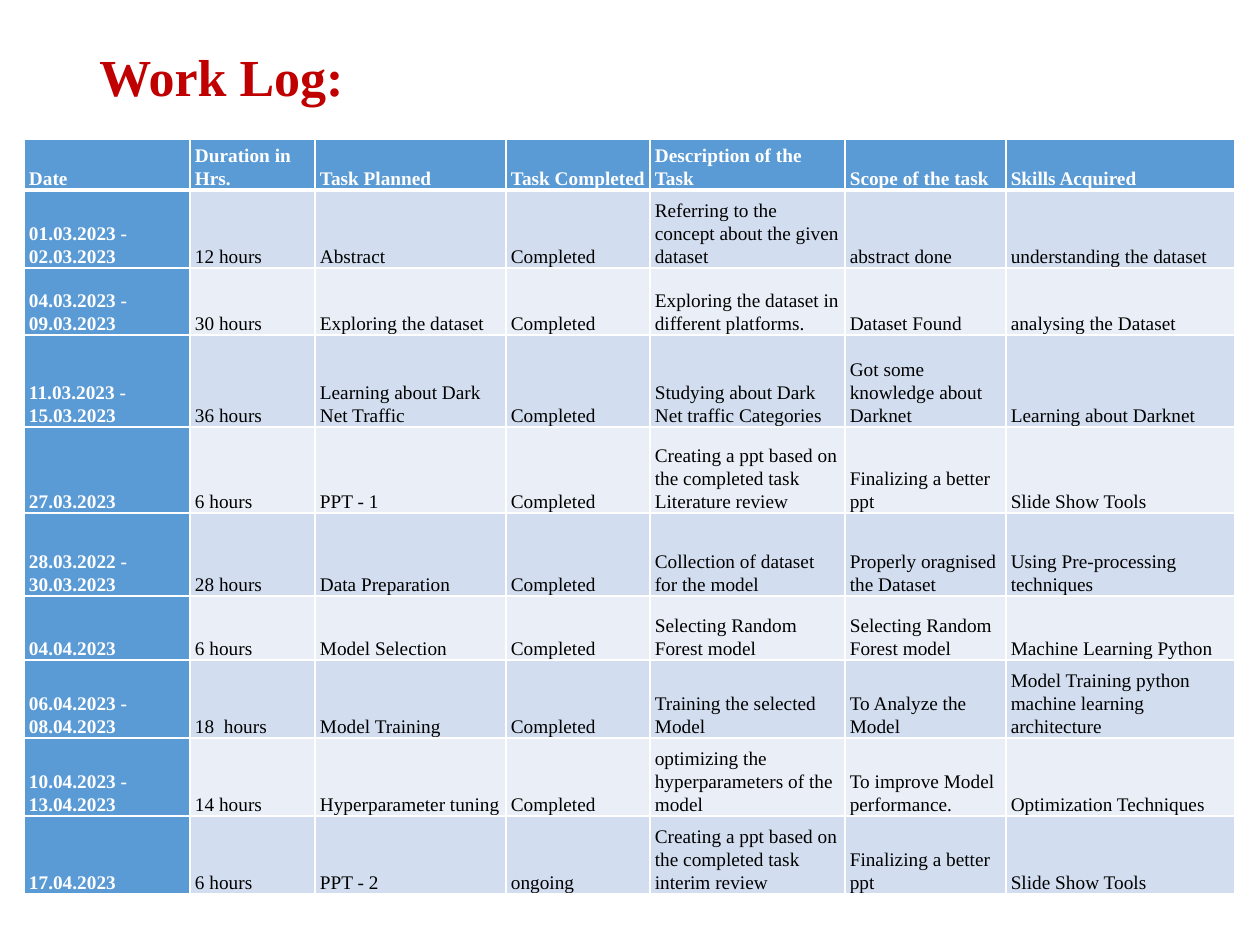
from lxml.etree import SubElement
from pptx import Presentation
from pptx.dml.color import RGBColor
from pptx.enum.text import MSO_ANCHOR
from pptx.oxml import parse_xml
from pptx.oxml.ns import nsdecls, qn
from pptx.util import Pt

PX = 914400 // 126  # EMU per px
FONT = "Times New Roman"
RED = RGBColor(0xC0, 0x00, 0x00)
BLUE = RGBColor(0x5B, 0x9B, 0xD5)
BAND_DARK = RGBColor(0xD2, 0xDE, 0xEF)
BAND_LIGHT = RGBColor(0xEA, 0xEF, 0xF7)
WHITE = RGBColor(0xFF, 0xFF, 0xFF)
BLACK = RGBColor(0x00, 0x00, 0x00)

COL_WIDTHS = [166, 125, 191, 144, 195, 161, 229]
ROW_HEIGHTS = [51, 78, 67, 92, 86, 83, 64, 78, 78, 78]
WORK_LOG = [
    ["Date", "Duration in Hrs.", "Task Planned", "Task Completed",
     "Description of the Task", "Scope of the task", "Skills Acquired"],
    ["01.03.2023 - 02.03.2023", "12 hours", "Abstract", "Completed",
     "Referring to the concept about the given dataset", "abstract done",
     "understanding the dataset"],
    ["04.03.2023 - 09.03.2023", "30 hours", "Exploring the dataset", "Completed",
     "Exploring the dataset in different platforms.", "Dataset Found",
     "analysing the Dataset"],
    ["11.03.2023 - 15.03.2023", "36 hours", "Learning about Dark Net Traffic", "Completed",
     "Studying about Dark Net traffic Categories", "Got some knowledge about Darknet",
     "Learning about Darknet"],
    ["27.03.2023", "6 hours", "PPT - 1", "Completed",
     "Creating a ppt based on the completed task Literature review",
     "Finalizing a better ppt", "Slide Show Tools"],
    ["28.03.2022 - 30.03.2023", "28 hours", "Data Preparation", "Completed",
     "Collection of dataset for the model", "Properly oragnised the Dataset",
     "Using Pre-processing techniques"],
    ["04.04.2023", "6 hours", "Model Selection", "Completed",
     "Selecting Random Forest model", "Selecting Random Forest model",
     "Machine Learning Python"],
    ["06.04.2023 - 08.04.2023", "18  hours", "Model Training", "Completed",
     "Training the selected Model", "To Analyze the Model",
     "Model Training python machine learning architecture"],
    ["10.04.2023 - 13.04.2023", "14 hours", "Hyperparameter tuning", "Completed",
     "optimizing the hyperparameters of the model", "To improve Model performance.",
     "Optimization Techniques"],
    ["17.04.2023", "6 hours", "PPT - 2", "ongoing",
     "Creating a ppt based on the completed task interim review",
     "Finalizing a better ppt", "Slide Show Tools"],
]


class SlideBuilder:
    def __init__(self, s, font):
        self.s = s
        self.font = font

    def paragraph(self, p, text, size, color, bold, spacing):
        p.text = text
        p.line_spacing = spacing
        p.font.name = self.font
        p.font.size = Pt(size)
        p.font.bold = bold
        p.font.color.rgb = color

    def text(self, x, y, w, h, text, size, color):
        tf = self.s.shapes.add_textbox(x * PX, y * PX, w * PX, h * PX).text_frame
        tf.word_wrap = True
        tf.vertical_anchor = MSO_ANCHOR.MIDDLE
        self.paragraph(tf.paragraphs[0], text, size, color, True, 0.9)

    def borders(self, cell, widths):
        tcPr = cell._tc.get_or_add_tcPr()
        for i, (side, width) in enumerate(widths.items()):
            ln = parse_xml(f'<a:ln{side} {nsdecls("a")} w="{Pt(width)}"/>')
            fill = SubElement(ln, qn("a:solidFill"))
            SubElement(fill, qn("a:srgbClr")).set("val", str(WHITE))
            tcPr.insert(i, ln)

    def cell(self, cell, text, row, col):
        heading = row == 0 or col == 0
        cell.margin_left = cell.margin_right = 5 * PX
        cell.margin_top = cell.margin_bottom = 0
        cell.vertical_anchor = MSO_ANCHOR.BOTTOM
        cell.fill.solid()
        cell.fill.fore_color.rgb = (
            BLUE if heading else BAND_DARK if row % 2 else BAND_LIGHT)
        self.paragraph(cell.text_frame.paragraphs[0], text, 11,
                       WHITE if heading else BLACK, heading, 1.07)
        # The rule under the header row is thicker
        self.borders(cell, {"L": 1, "R": 1, "T": 3 if row == 1 else 1,
                            "B": 3 if row == 0 else 1})

    def table(self, x, y, widths, heights, rows):
        table = self.s.shapes.add_table(
            len(rows), len(widths), x * PX, y * PX,
            sum(widths) * PX, sum(heights) * PX).table
        for column, width in zip(table.columns, widths):
            column.width = width * PX
        for r, (height, values) in enumerate(zip(heights, rows)):
            table.rows[r].height = height * PX
            for c, value in enumerate(values):
                self.cell(table.cell(r, c), value, r, c)


def main():
    prs = Presentation()
    prs.slide_width = 1260 * PX
    prs.slide_height = 945 * PX
    slide = SlideBuilder(prs.slides.add_slide(prs.slide_layouts[6]), FONT)

    # Title
    slide.text(87, 50, 339, 60, "Work Log:", 29.7, RED)

    # Work log table
    slide.table(24, 139, COL_WIDTHS, ROW_HEIGHTS, WORK_LOG)

    prs.save("out.pptx")


if __name__ == "__main__":
    main()
